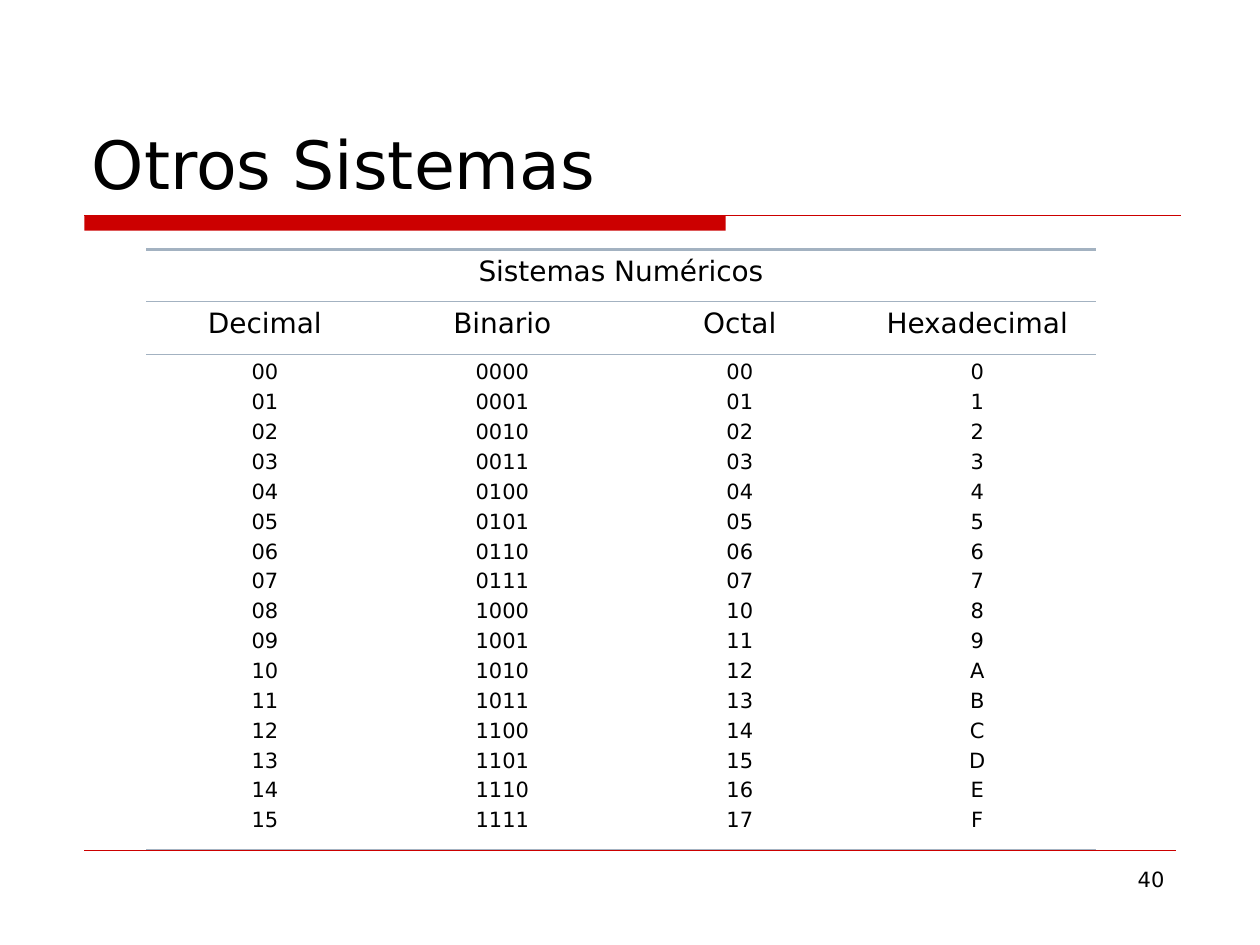
import lxml.etree
import pptx
import pptx.dml.color
import pptx.enum.shapes
import pptx.enum.text
import pptx.oxml.ns
import pptx.util

Inches = pptx.util.Inches
Pt = pptx.util.Pt
RGBColor = pptx.dml.color.RGBColor
PP_ALIGN = pptx.enum.text.PP_ALIGN
ANCHOR = pptx.enum.text.MSO_ANCHOR
qn = pptx.oxml.ns.qn

FONT = "DejaVu Sans"
BLACK = RGBColor(0x00, 0x00, 0x00)
RED = RGBColor(0xCC, 0x00, 0x00)
RULE_GREY = RGBColor(0xA3, 0xB2, 0xC1)
NO_GRID_STYLE = "{2D5ABB26-0587-4C30-8999-92F81FD0307C}"

HEADERS = ["Decimal", "Binario", "Octal", "Hexadecimal"]
NUMBER_FORMATS = ["02d", "04b", "02o", "X"]
ROW_HEIGHTS = [0.41, 0.42, 3.93]
THICK, THIN = 1.47, 0.45


def write_text(frame, lines, size, align=PP_ALIGN.LEFT, space_before=0):
    """Fill a text frame with one paragraph for each line."""
    for index, line in enumerate(lines):
        paragraph = frame.add_paragraph() if index else frame.paragraphs[0]
        paragraph.alignment = align
        paragraph.space_before = Pt(space_before)
        run = paragraph.add_run()
        run.text = line
        run.font.name = FONT
        run.font.size = Pt(size)
        run.font.color.rgb = BLACK


def add_title(slide, text):
    title = slide.shapes.title
    title.left, title.top = Inches(0.63), Inches(0.33)
    title.width, title.height = Inches(8.75), Inches(1.33)
    frame = title.text_frame
    frame.auto_size = pptx.enum.text.MSO_AUTO_SIZE.NONE
    frame.vertical_anchor = ANCHOR.BOTTOM
    write_text(frame, [text], 38)


def add_rule(slide, left, right, y, width):
    rule = slide.shapes.add_connector(
        pptx.enum.shapes.MSO_CONNECTOR.STRAIGHT,
        Inches(left), Inches(y), Inches(right), Inches(y))
    rule.line.color.rgb = RED
    rule.line.width = Pt(width)
    lxml.etree.SubElement(rule._element.spPr, qn("a:effectLst"))


def add_title_bar(slide):
    bar = slide.shapes.add_shape(
        pptx.enum.shapes.MSO_SHAPE.RECTANGLE,
        Inches(0.67), Inches(1.71), Inches(5.09), Inches(0.12))
    bar.shadow.inherit = False
    bar.fill.solid()
    bar.fill.fore_color.rgb = RED
    bar.line.fill.background()


def add_page_number(slide, number):
    box = slide.shapes.add_textbox(
        Inches(7.17), Inches(6.83), Inches(2.17), Inches(0.52))
    box.text_frame.word_wrap = True
    write_text(box.text_frame, [number], 12, align=PP_ALIGN.RIGHT)


def set_horizontal_borders(cell, top, bottom):
    """Rule a cell above and below, leaving its sides open."""
    properties = cell._tc.get_or_add_tcPr()
    widths = {"a:lnL": 0, "a:lnR": 0, "a:lnT": top, "a:lnB": bottom}
    for index, (tag, width) in enumerate(widths.items()):
        border = lxml.etree.Element(qn(tag), w=str(Pt(width)))
        if width:
            fill = lxml.etree.SubElement(border, qn("a:solidFill"))
            lxml.etree.SubElement(fill, qn("a:srgbClr"), val=str(RULE_GREY))
        else:
            lxml.etree.SubElement(border, qn("a:noFill"))
        properties.insert(index, border)


def add_number_table(slide):
    frame = slide.shapes.add_table(
        len(ROW_HEIGHTS), len(HEADERS), Inches(1.16), Inches(1.98),
        Inches(7.54), Inches(sum(ROW_HEIGHTS)))
    table = frame.table
    table.first_row = table.horz_banding = False
    table._tbl.tblPr.find(qn("a:tableStyleId")).text = NO_GRID_STYLE
    for row, height in zip(table.rows, ROW_HEIGHTS):
        row.height = Inches(height)
    for index, row in enumerate(table.rows):
        for cell in row.cells:
            cell.fill.background()
            set_horizontal_borders(cell, THIN if index else THICK, THIN)

    heading = table.cell(0, 0)
    heading.merge(table.cell(0, len(HEADERS) - 1))
    write_text(heading.text_frame, ["Sistemas Numéricos"], 16,
               align=PP_ALIGN.CENTER, space_before=4)
    for column, (header, number_format) in enumerate(zip(HEADERS, NUMBER_FORMATS)):
        write_text(table.cell(1, column).text_frame, [header], 16,
                   align=PP_ALIGN.CENTER, space_before=4)
        numerals = [format(value, number_format) for value in range(16)]
        write_text(table.cell(2, column).text_frame, numerals, 12,
                   align=PP_ALIGN.CENTER, space_before=3)


def main():
    deck = pptx.Presentation()
    deck.slide_width, deck.slide_height = Inches(10), Inches(7.5)
    slide = deck.slides.add_slide(deck.slide_layouts.get_by_name("Title Only"))
    add_title_bar(slide)
    add_rule(slide, 0.67, 9.37, 1.71, 0.75)
    add_rule(slide, 0.67, 9.33, 6.75, 0.25)
    add_page_number(slide, "40")
    add_title(slide, "Otros Sistemas")
    add_number_table(slide)
    deck.save("out.pptx")


if __name__ == "__main__":
    main()
